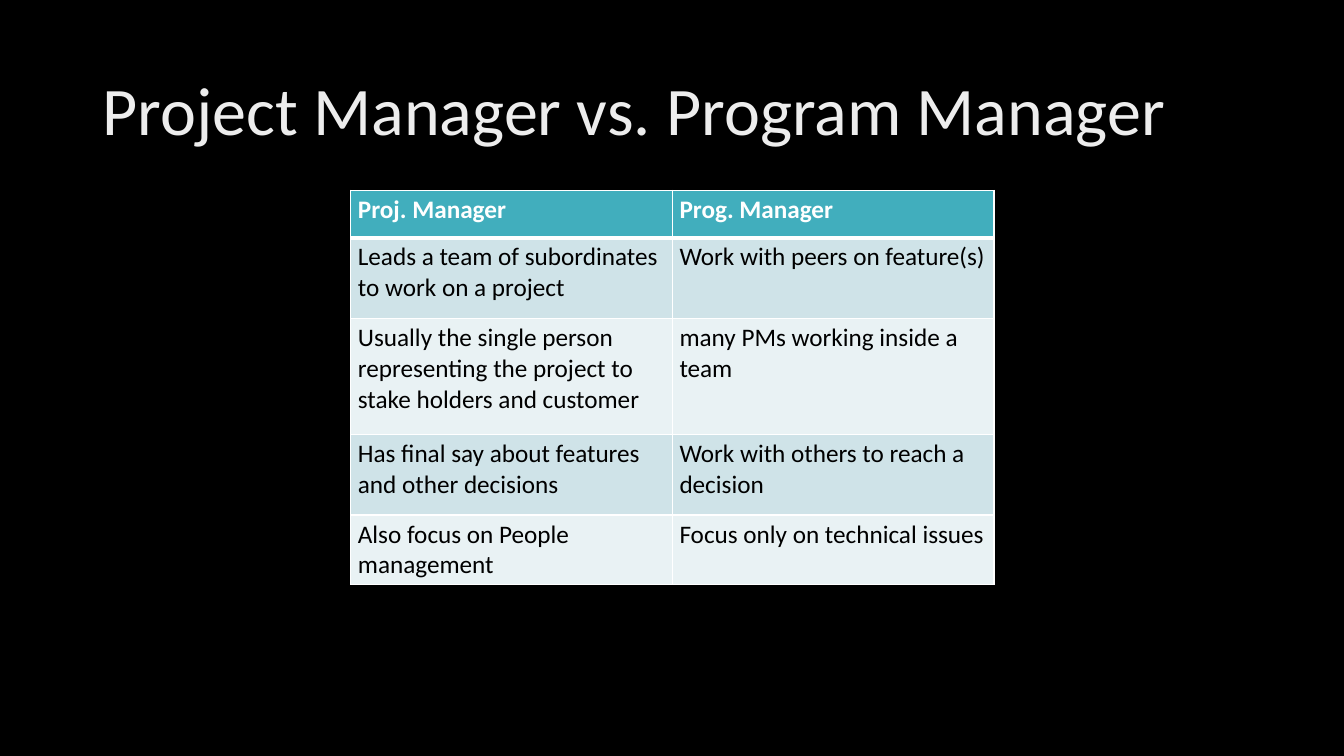
from lxml import etree
from pptx import Presentation
from pptx.dml.color import RGBColor
from pptx.enum.text import MSO_ANCHOR, PP_ALIGN
from pptx.oxml.ns import qn
from pptx.util import Inches, Pt

MIDDLE, LEFT = MSO_ANCHOR.MIDDLE, PP_ALIGN.LEFT
BLACK = RGBColor(0x00, 0x00, 0x00)
WHITE = RGBColor(0xFF, 0xFF, 0xFF)
TITLE_GRAY = RGBColor(0xED, 0xED, 0xED)
TEAL = RGBColor(0x41, 0xAE, 0xBD)
BANDS = [RGBColor(0xE9, 0xF2, 0xF4), RGBColor(0xCF, 0xE3, 0xE8)]
FONT = "Calibri"

# Content
TITLE = "Project Manager vs. Program Manager"
COMPARISON = [
    ("Proj. Manager", "Prog. Manager"),
    ("Leads a team of subordinates to work on a project",
     "Work with peers on feature(s)"),
    ("Usually the single person representing the project to stake holders and customer",
     "many PMs working inside a team"),
    ("Has final say about features and other decisions",
     "Work with others to reach a decision"),
    ("Also focus on People management", "Focus only on technical issues"),
]
ROW_HEIGHTS = [0.47, 0.8, 1.15, 0.8, 0.68]
COLUMN_WIDTH = 3.19


def add_border(cell, side, width):
    line = etree.SubElement(cell._tc.get_or_add_tcPr(), qn(f"a:ln{side}"),
                            w=str(Pt(width)))
    fill = etree.SubElement(line, qn("a:solidFill"))
    etree.SubElement(fill, qn("a:srgbClr"), val=str(WHITE))


def format_cell(cell, text, row):
    is_header = row == 0
    cell.text = text
    cell.margin_left = cell.margin_right = Inches(0.07)
    cell.margin_top = cell.margin_bottom = Inches(0.04)
    # The rule under the header is thicker than the others
    widths = {"L": 1, "R": 1, "T": 3 if row == 1 else 1, "B": 3 if is_header else 1}
    for side, width in widths.items():
        add_border(cell, side, width)
    cell.fill.solid()
    cell.fill.fore_color.rgb = TEAL if is_header else BANDS[row % 2]
    font = cell.text_frame.paragraphs[0].font
    font.name, font.size, font.bold = FONT, Pt(18), is_header
    font.color.rgb = WHITE if is_header else BLACK


# Slide
prs = Presentation()
prs.slide_width, prs.slide_height = Inches(13.33), Inches(7.5)
slide = prs.slides.add_slide(prs.slide_layouts[5])
slide.background.fill.solid()
slide.background.fill.fore_color.rgb = BLACK

# Title
title = slide.shapes.title
title.left, title.top = Inches(0.92), Inches(0.4)
title.width, title.height = Inches(11.5), Inches(1.45)
title.text_frame.text = TITLE
title.text_frame.vertical_anchor = MIDDLE
heading = title.text_frame.paragraphs[0]
heading.alignment = LEFT
heading.line_spacing = 0.9
heading.font.name, heading.font.size = FONT, Pt(48.6)
heading.font.color.rgb = TITLE_GRAY

# Comparison table
columns = len(COMPARISON[0])
table = slide.shapes.add_table(
    len(COMPARISON), columns, Inches(3.48), Inches(1.89),
    Inches(columns * COLUMN_WIDTH), Inches(sum(ROW_HEIGHTS))).table
for column in table.columns:
    column.width = Inches(COLUMN_WIDTH)
for row, (height, texts) in enumerate(zip(ROW_HEIGHTS, COMPARISON)):
    table.rows[row].height = Inches(height)
    for col, text in enumerate(texts):
        format_cell(table.cell(row, col), text, row)

prs.save("out.pptx")
